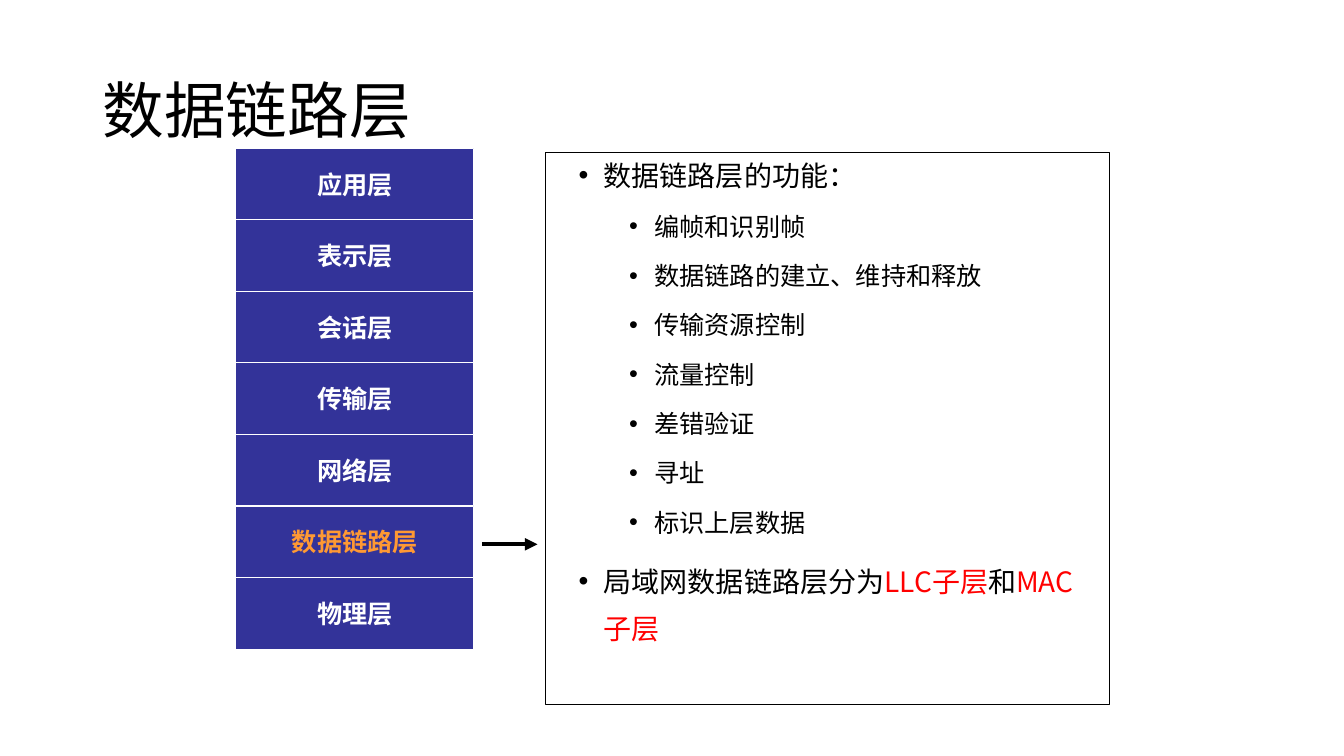
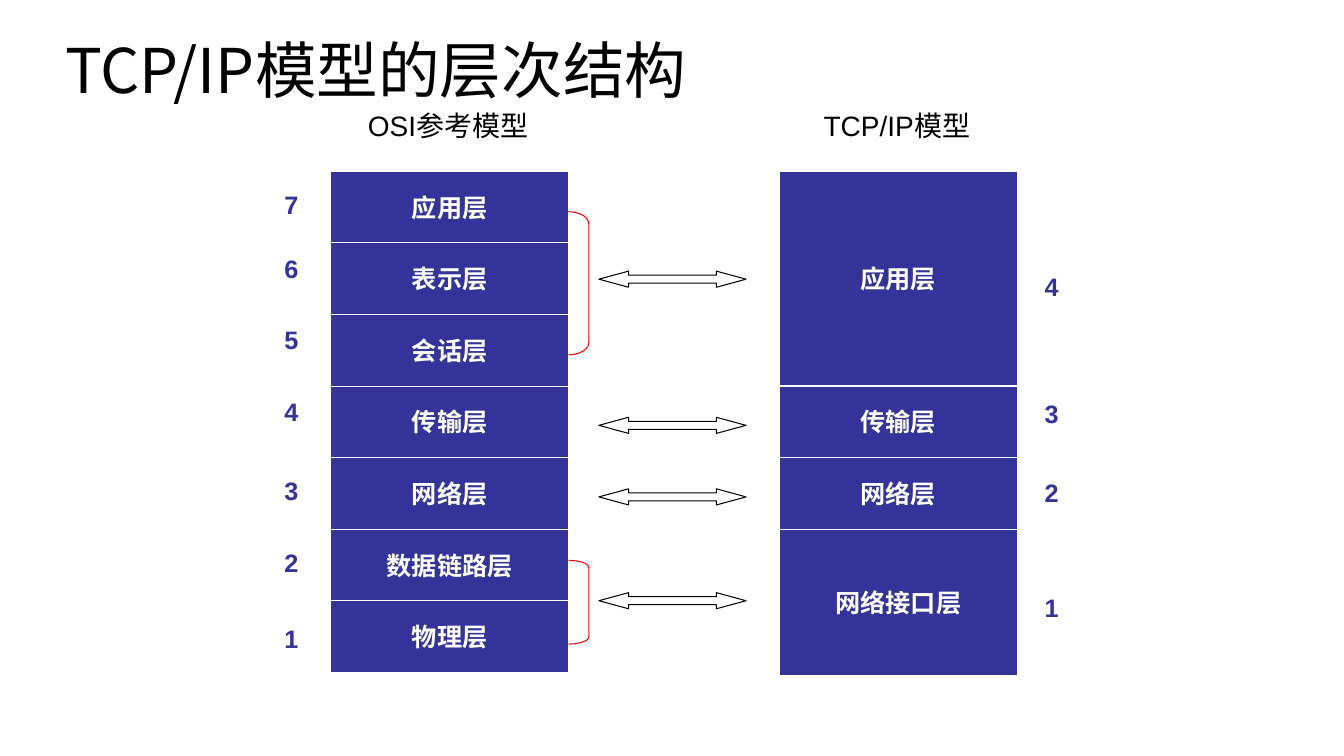
from lxml import etree
from pptx import Presentation
from pptx import util as u
from pptx.dml.color import RGBColor
from pptx.enum import shapes, text
from pptx.oxml.ns import qn

# Shared colours, fonts and text styles
NAVY = RGBColor(0x33, 0x33, 0x99)
WHITE = RGBColor(0xFF, 0xFF, 0xFF)
BLACK = RGBColor(0, 0, 0)
RED = RGBColor(0xFF, 0, 0)
ORANGE = RGBColor(0xFF, 0x99, 0x33)
CJK, LATIN, SERIF = "Noto Sans CJK SC", "Arial", "Times New Roman"
SHAPE, ALIGN, ANCHOR = shapes.MSO_SHAPE, text.PP_ALIGN, text.MSO_ANCHOR

TITLE = dict(size=u.Pt(44), name=CJK, color=BLACK)
LAYER = dict(size=u.Pt(18), name=CJK, color=WHITE, bold=True)
NUMBER = dict(size=u.Pt(18), name=LATIN, color=NAVY, bold=True)
HEADING = dict(size=u.Pt(20), name=LATIN, color=BLACK)
BODY = dict(name=CJK, color=BLACK)

# Shared grid, in inches: one column and one row hold one layer
COL, ROW = 2.36, 0.71
LAYERS = ["应用层", "表示层", "会话层", "传输层", "网络层", "数据链路层", "物理层"]

prs = Presentation()
prs.slide_width, prs.slide_height = u.Inches(13.33), u.Inches(7.5)


def write(p, words, fmt, **para):
    """Add a run to a paragraph and set the formats of both."""
    for key, value in para.items():
        setattr(p, key, value)
    r = p.add_run()
    r.text = words
    for key, value in fmt.items():
        if key == "color":
            r.font.color.rgb = value
        else:
            setattr(r.font, key, value)
    etree.SubElement(r.font._element, qn("a:ea"), typeface=CJK)


def add(s, kind, at, fill=None, line=None, adj=(), **frame):
    """Add a preset shape, or a text box when kind is None."""
    at = [u.Inches(v) for v in at]
    if kind is None:
        sp = s.shapes.add_textbox(*at)
    else:
        sp = s.shapes.add_shape(kind, *at)
        sp.shadow.inherit = False
        if fill is None:
            sp.fill.background()
        else:
            sp.fill.solid()
            sp.fill.fore_color.rgb = fill
        sp.line.color.rgb = line
        sp.line.width = u.Pt(0.75)
        for i, value in enumerate(adj):
            sp.adjustments[i] = value
    for key, value in frame.items():
        setattr(sp.text_frame, key, value)
    return sp.text_frame.paragraphs[0]


# Both slides: title and stacks of layers (name, rows, colour, font)
osi = [(name, 1, WHITE, CJK) for name in LAYERS]
osi_marked = [(name, 1, ORANGE if name == "数据链路层" else WHITE, CJK)
              for name in LAYERS]
tcp_ip = [("应用层", 3, WHITE, CJK), ("传输层", 1, WHITE, CJK),
          ("网络层", 1, WHITE, CJK), ("网络接口层", 2.05, WHITE, SERIF)]
decks = [
    ("数据链路层", 0.92, 0.4, [(2.34, 1.47, osi_marked)]),
    ("TCP/IP模型的层次结构", 0.55, 0, [(3.28, 1.7, osi), (7.73, 1.7, tcp_ip)]),
]
slides = []
for title, left, top, stacks in decks:
    s = prs.slides.add_slide(prs.slide_layouts[6])
    slides.append(s)
    p = add(s, None, (left, top, 11.5, 1.45), word_wrap=True,
            vertical_anchor=ANCHOR.MIDDLE)
    write(p, title, TITLE, line_spacing=0.9)
    for x, y, stack in stacks:
        for name, rows, color, font in stack:
            p = add(s, SHAPE.RECTANGLE, (x, y, COL, rows * ROW), NAVY, WHITE,
                    word_wrap=False, vertical_anchor=ANCHOR.MIDDLE)
            write(p, name, {**LAYER, "color": color, "name": font},
                  alignment=ALIGN.CENTER)
            y += rows * ROW

# Slide 1: frame, bullets and arrow
s = slides[0]
add(s, SHAPE.RECTANGLE, (5.41, 1.51, 5.59, 5.48), line=BLACK)
functions = ["编帧和识别帧", "数据链路的建立、维持和释放", "传输资源控制",
             "流量控制", "差错验证", "寻址", "标识上层数据"]
bullets = [(0, [("数据链路层的功能：", BLACK)])]
bullets += [(1, [(name, BLACK)]) for name in functions]
bullets += [(0, [("局域网数据链路层分为", BLACK), ("LLC子层", RED),
                 ("和", BLACK), ("MAC子层", RED)])]
p = add(s, None, (5.64, 1.39, 5.35, 5.2), word_wrap=True)
tf = p._parent
for i, (level, runs) in enumerate(bullets):
    if i:
        p = tf.add_paragraph()
        p.space_before = u.Pt(5 if level else 10)
    p.level, p.line_spacing = level, 1.4
    pPr = p._p.get_or_add_pPr()
    pPr.set("marL", str(u.Inches(0.25 + 0.5 * level)))
    pPr.set("indent", str(-u.Inches(0.25)))
    etree.SubElement(pPr, qn("a:buFont"), typeface=LATIN)
    etree.SubElement(pPr, qn("a:buChar"), char="•")
    for words, color in runs:
        write(p, words, {**BODY, "color": color, "size": u.Pt(20 - 2 * level)})

arrow = s.shapes.add_connector(shapes.MSO_CONNECTOR.STRAIGHT, u.Inches(4.78),
                               u.Inches(5.4), u.Inches(5.33), u.Inches(5.4))
arrow.line.color.rgb, arrow.line.width = BLACK, u.Pt(3)
etree.SubElement(arrow.line._get_or_add_ln(), qn("a:tailEnd"), type="triangle")
etree.SubElement(arrow._element.spPr, qn("a:effectLst"))

# Slide 2: layer numbers, counted down from the top
s = slides[1]
for x, tops in [(2.72, [1.83, 2.46, 3.17, 3.88, 4.67, 5.38, 6.13]),
                (10.26, [2.64, 3.9, 4.69, 5.83])]:
    for i, y in enumerate(tops):
        p = add(s, None, (x, y, 0.34, 0.41), word_wrap=False)
        write(p, str(len(tops) - i), NUMBER, alignment=ALIGN.CENTER)

# Slide 2: model names
for x, name in [(3.44, "OSI参考模型"), (7.89, "TCP/IP模型")]:
    p = add(s, None, (x, 1.03, 2.01, 0.43), word_wrap=True)
    write(p, name, HEADING, alignment=ALIGN.CENTER)

# Slide 2: brackets and double arrows between the models
for y, h, bend in [(2.1, 1.42, 0.6), (5.56, 0.83, 0.35)]:
    add(s, SHAPE.RIGHT_BRACKET, (3.28 + COL, y, 0.2, h), line=RED, adj=[bend])
for y in [2.69, 4.14, 4.14 + ROW, 5.88]:
    add(s, SHAPE.LEFT_RIGHT_ARROW, (5.94, y, 1.46, 0.16), line=BLACK,
        adj=[0.5, 1.84])

prs.save("out.pptx")
